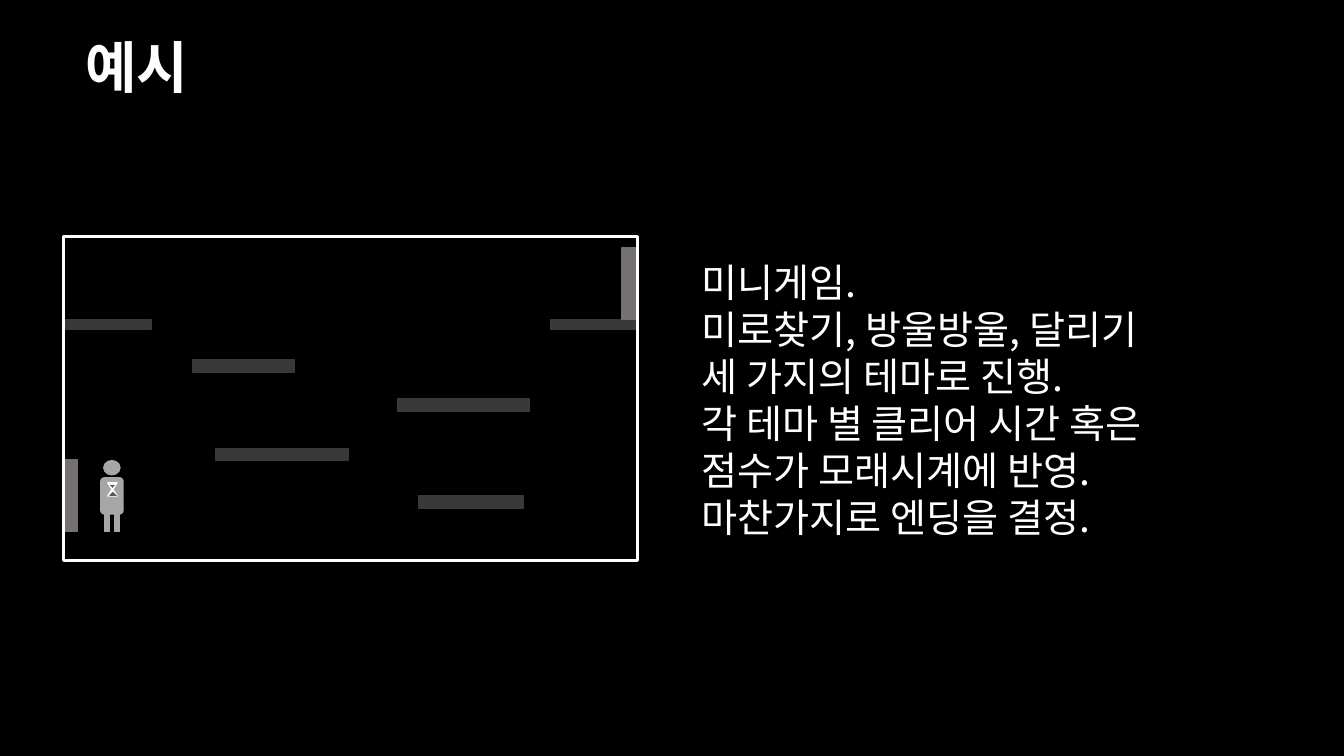
from lxml import etree
from pptx import Presentation
from pptx import util as u
from pptx.dml.color import RGBColor
from pptx.enum import shapes, text
from pptx.oxml import ns

COLORS = {
    "background": "000000",
    "white": "FFFFFF",
    "platform": "3B3838",
    "door": "767171",
    "figure": "A6A6A6",
    "sand": "595959",
}
FONT = "Noto Sans CJK KR"
LINE_HEIGHT = 1.2
SHAPE = shapes.MSO_SHAPE


def rgb(name):
    return RGBColor.from_string(COLORS[name])


class GameSlide:
    def __init__(self, prs):
        self.s = prs.slides.add_slide(prs.slide_layouts[6])
        self.s.background.fill.solid()
        self.s.background.fill.fore_color.rgb = rgb("background")
        self.scene = self.s.shapes.add_group_shape().shapes

    def text(self, box, lines, size, bold=False):
        sp = self.s.shapes.add_textbox(*map(u.Inches, box))
        tf = sp.text_frame
        tf.word_wrap = True
        tf.auto_size = text.MSO_AUTO_SIZE.SHAPE_TO_FIT_TEXT
        tf.text = "\n".join(lines)
        for p in tf.paragraphs:
            p.line_spacing = u.Pt(size * LINE_HEIGHT)
            p.font.size = u.Pt(size)
            p.font.bold = bold
            p.font.name = FONT
            p.font.color.rgb = rgb("white")
            props = p._p.pPr.find(ns.qn("a:defRPr"))
            etree.SubElement(props, ns.qn("a:ea")).set("typeface", FONT)

    def shape(self, kind, box, fill=None, line=None, width=1, turn=0):
        sp = self.scene.add_shape(kind, *map(u.Inches, box))
        sp.shadow.inherit = False
        sp.rotation = turn
        if fill:
            sp.fill.solid()
            sp.fill.fore_color.rgb = rgb(fill)
        else:
            sp.fill.background()
        if line:
            sp.line.color.rgb = rgb(line)
            sp.line.width = u.Pt(width)
        else:
            sp.line.fill.background()
        return sp

    def line(self, start, end, color, width):
        c = self.scene.add_connector(
            shapes.MSO_CONNECTOR.STRAIGHT, *map(u.Inches, start + end))
        c.line.color.rgb = rgb(color)
        c.line.width = u.Pt(width)
        etree.SubElement(c._element.spPr, ns.qn("a:effectLst"))


def main():
    prs = Presentation()
    prs.slide_width, prs.slide_height = u.Inches(13.33), u.Inches(7.5)
    g = GameSlide(prs)

    g.text((0.75, 0.27, 2.74, 0.77), ["예시"], 40, bold=True)
    g.text((6.86, 2.51, 5.87, 2.93), [
        "미니게임.",
        "미로찾기, 방울방울, 달리기",
        "세 가지의 테마로 진행.",
        "각 테마 별 클리어 시간 혹은",
        "점수가 모래시계에 반영.",
        "마찬가지로 엔딩을 결정.",
    ], 28)

    for x, y, w, h in [
        (2.14, 4.45, 1.31, 0.12),
        (3.94, 3.96, 1.31, 0.12),
        (0.63, 3.17, 0.87, 0.1),
        (1.91, 3.57, 1.01, 0.12),
        (4.15, 4.92, 1.04, 0.12),
        (5.46, 3.17, 0.87, 0.1),
    ]:
        g.shape(SHAPE.RECTANGLE, (x, y, w, h), "platform", "platform")
    for x, y in [(0.63, 4.56), (6.17, 2.46)]:
        g.shape(SHAPE.RECTANGLE, (x, y, 0.14, 0.71), "door", "door")

    g.shape(SHAPE.OVAL, (1.03, 4.57, 0.16, 0.14), "figure", "figure")
    g.shape(SHAPE.FLOWCHART_ALTERNATE_PROCESS, (1, 4.74, 0.22, 0.36),
            "figure", "figure")
    for x in (1.06, 1.16):
        g.line((x, 5.07), (x, 5.28), "figure", 4.5)

    for y, turn in [(4.85, 0), (4.79, 180)]:
        g.shape(SHAPE.ISOSCELES_TRIANGLE, (1.07, y, 0.09, 0.07),
                "white", "white", turn=turn)
    sand = g.shape(SHAPE.TRAPEZOID, (1.08, 4.88, 0.08, 0.04), "sand")
    sand.adjustments[0] = 0.98
    g.shape(SHAPE.ISOSCELES_TRIANGLE, (1.09, 4.81, 0.05, 0.03), "sand",
            turn=180)

    g.shape(SHAPE.RECTANGLE, (0.63, 2.35, 5.69, 3.21), line="white", width=2)
    prs.save("out.pptx")


if __name__ == "__main__":
    main()
